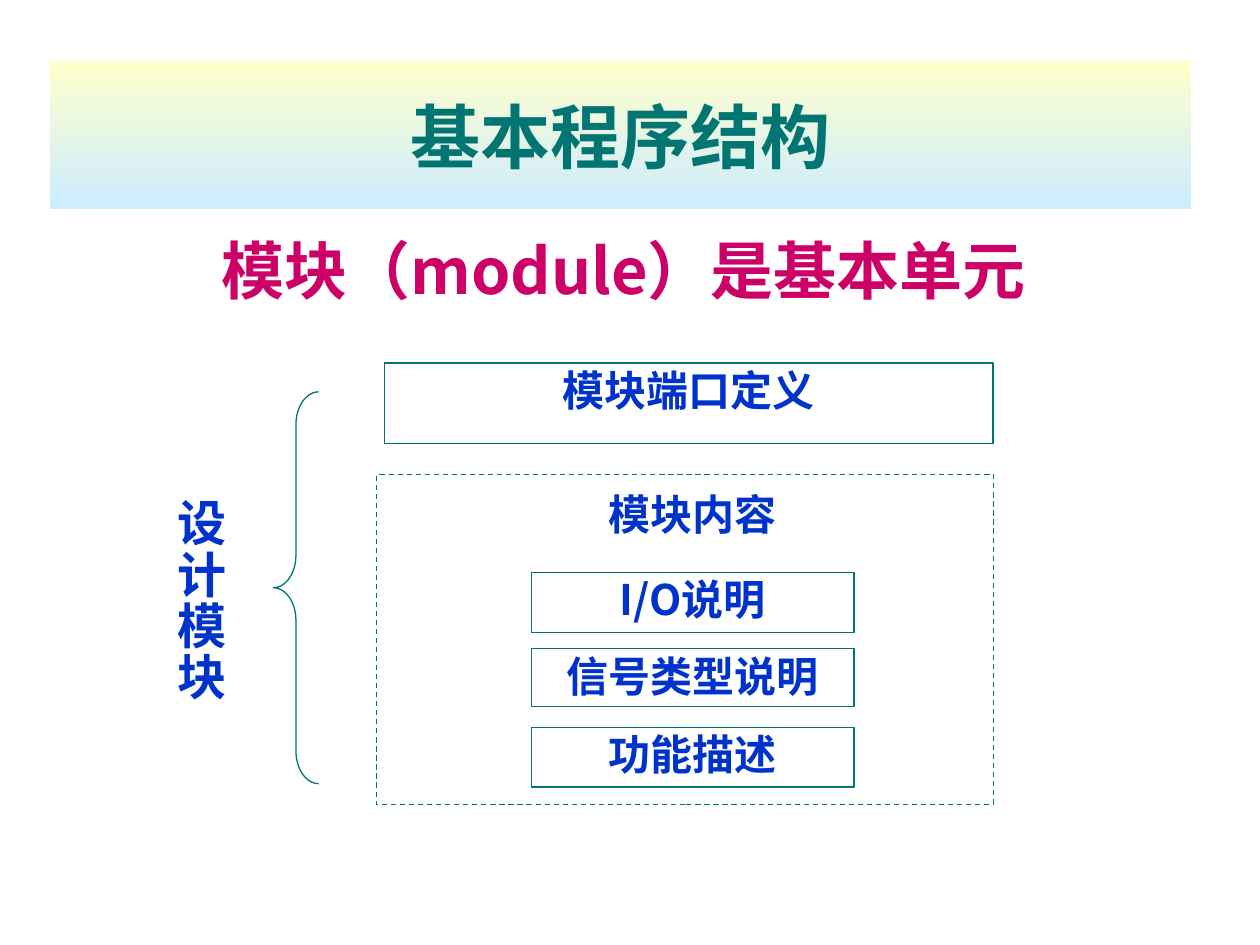
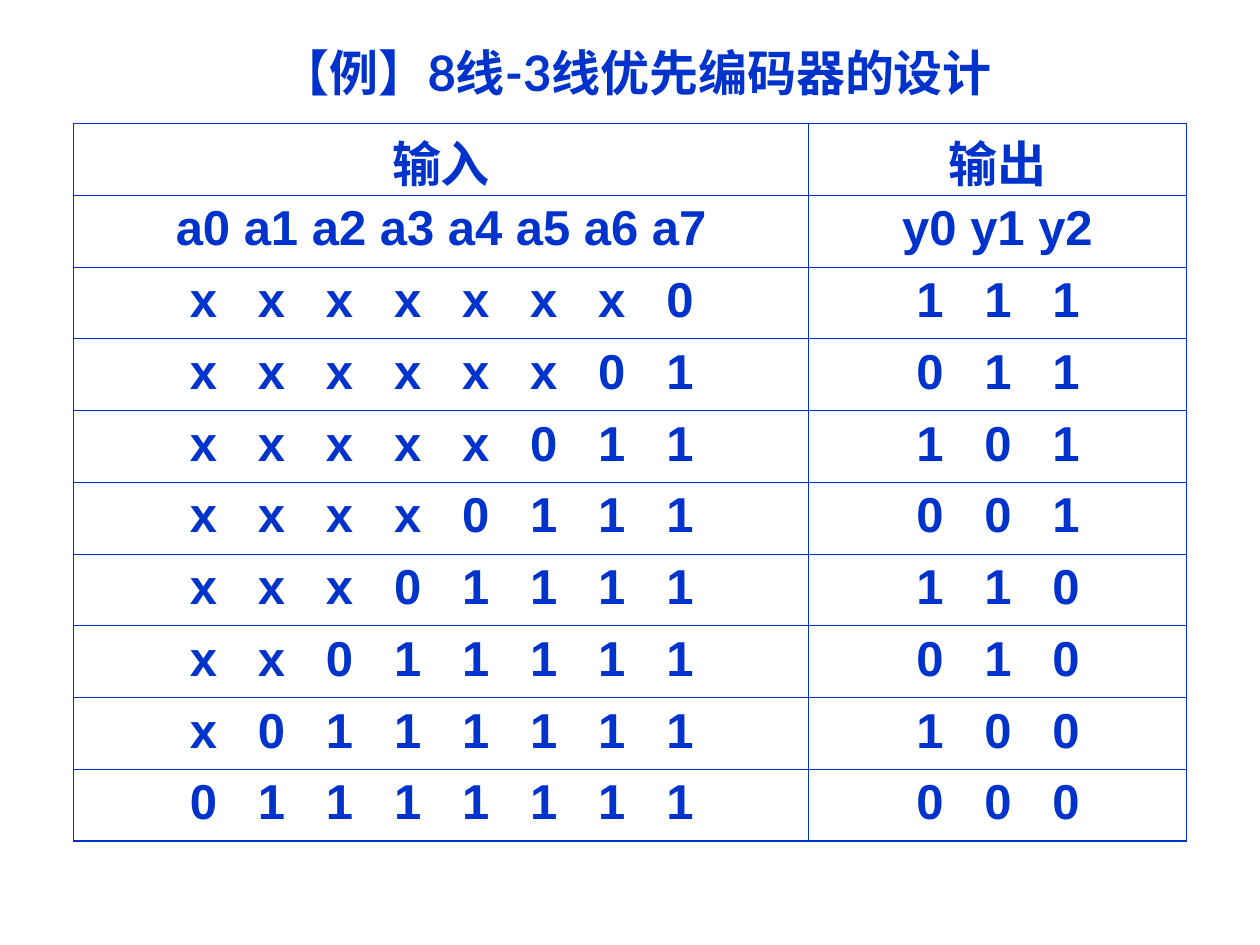
import dataclasses
import typing

import lxml.etree
import pptx
import pptx.dml.color
import pptx.enum.dml
import pptx.enum.shapes
import pptx.enum.text
import pptx.oxml.ns
import pptx.util

Pt = pptx.util.Pt
Shape = pptx.enum.shapes.MSO_SHAPE
Align = pptx.enum.text.PP_ALIGN
Anchor = pptx.enum.text.MSO_ANCHOR

COLOURS = {
    "teal": "007572",
    "blue": "0033CC",
    "magenta": "CC0066",
    "cream": "FFFFCC",
    "sky": "CCECFF",
}
CJK = "Noto Sans CJK SC"
LATIN = "Arial"
LINE_SPACING = 0.92
INPUTS = 8
OUTPUTS = 3
ROW_HEIGHT = 41
COLUMN_WIDTHS = (420, 216)
TAB_PITCH = 38.9


@dataclasses.dataclass(frozen=True)
class Area:
    left: float
    top: float
    width: float
    height: float

    def lengths(self) -> tuple:
        return Pt(self.left), Pt(self.top), Pt(self.width), Pt(self.height)


@dataclasses.dataclass(frozen=True)
class TextStyle:
    size: float
    colour: str = "blue"
    font: str = CJK
    spacing: typing.Optional[float] = LINE_SPACING


@dataclasses.dataclass(frozen=True)
class Block:
    area: Area
    lines: tuple = ()
    style: TextStyle = TextStyle(24)
    outlined: bool = True
    dashed: bool = False
    preset: typing.Any = Shape.RECTANGLE


TABLE_STYLE = TextStyle(28, font=LATIN, spacing=None)
HEADER_STYLE = TextStyle(28, font=LATIN, spacing=0.8)

STRUCTURE = (
    Block(Area(29.5, 133.2, 653.8, 47.5), ("模块（module）是基本单元",),
          TextStyle(36, "magenta"), outlined=False),
    Block(Area(87.8, 282.8, 55.4, 105), tuple("设计模块"),
          TextStyle(28, spacing=0.87), outlined=False),
    Block(Area(156.2, 223.9, 25.9, 223.9), preset=Shape.LEFT_BRACE),
    Block(Area(219.6, 207.4, 347.8, 46), ("模块端口定义",)),
    Block(Area(215.2, 271.2, 352.6, 188.4), dashed=True),
    Block(Area(303.8, 278.6, 184.3, 35.3), ("模块内容",), outlined=False),
    Block(Area(303.8, 327, 184.3, 34.6), ("I/O说明",)),
    Block(Area(303.8, 370.8, 184.3, 33.1), ("信号类型说明",)),
    Block(Area(303.8, 415.8, 184.3, 34), ("功能描述",)),
)


def rgb(name: str) -> pptx.dml.color.RGBColor:
    return pptx.dml.color.RGBColor.from_string(COLOURS[name])


def add_span(para, text: str, style: TextStyle) -> None:
    span = para.add_run()
    span.text = text
    span.font.size = Pt(style.size)
    span.font.bold = True
    span.font.color.rgb = rgb(style.colour)
    span.font.name = style.font
    properties = span.font._element
    east = lxml.etree.SubElement(properties, pptx.oxml.ns.qn("a:ea"))
    east.set("typeface", CJK)


def write_line(para, spans: typing.Sequence, alignment=Align.CENTER) -> None:
    para.alignment = alignment
    if spans[0][1].spacing:
        para.line_spacing = spans[0][1].spacing
    for text, style in spans:
        add_span(para, text, style)


def prepare_frame(frame, anchor=Anchor.TOP) -> None:
    frame.auto_size = pptx.enum.text.MSO_AUTO_SIZE.NONE
    frame.word_wrap = True
    frame.vertical_anchor = anchor
    frame.margin_left = frame.margin_right = Pt(7.2)
    frame.margin_top = frame.margin_bottom = Pt(3.6)


def set_title(page, area: Area, spans: typing.Sequence, anchor=Anchor.TOP):
    title = page.shapes.title
    title.left, title.top, title.width, title.height = area.lengths()
    prepare_frame(title.text_frame, anchor)
    write_line(title.text_frame.paragraphs[0], spans)
    return title


def add_block(page, block: Block) -> None:
    if block.outlined:
        box = page.shapes.add_shape(block.preset, *block.area.lengths())
        box.shadow.inherit = False
        box.fill.background()
        box.line.color.rgb = rgb("teal")
        box.line.width = Pt(0.75)
        if block.dashed:
            box.line.dash_style = pptx.enum.dml.MSO_LINE.DASH
        if block.preset == Shape.LEFT_BRACE:
            box.adjustments[0] = 0.72
    else:
        box = page.shapes.add_textbox(*block.area.lengths())
    frame = box.text_frame
    prepare_frame(frame)
    for index, line in enumerate(block.lines):
        para = frame.add_paragraph() if index else frame.paragraphs[0]
        write_line(para, [(line, block.style)])


def add_tabs(para, first: float, count: int) -> None:
    qn = pptx.oxml.ns.qn
    tabs = lxml.etree.SubElement(para._p.get_or_add_pPr(), qn("a:tabLst"))
    for index in range(count):
        stop = lxml.etree.SubElement(tabs, qn("a:tab"))
        stop.set("pos", str(int(Pt(first + index * TAB_PITCH))))
        stop.set("algn", "ctr")


def set_borders(cell, outer_sides: dict) -> None:
    qn = pptx.oxml.ns.qn
    properties = cell._tc.get_or_add_tcPr()
    for index, (side, outer) in enumerate(outer_sides.items()):
        line = lxml.etree.Element(qn(f"a:ln{side}"))
        line.set("w", str(int(Pt(1.08 if outer else 0.45))))
        fill = lxml.etree.SubElement(line, qn("a:solidFill"))
        lxml.etree.SubElement(fill, qn("a:srgbClr")).set("val", COLOURS["blue"])
        properties.insert(index, line)


def encoder_rows() -> list:
    rows = [
        (["输入"], ["输出"]),
        ([f"a{i}" for i in range(INPUTS)], [f"y{i}" for i in range(OUTPUTS)]),
    ]
    for ones in range(INPUTS):
        code = INPUTS - 1 - ones
        inputs = ["x"] * code + ["0"] + ["1"] * ones
        outputs = [str(code >> bit & 1) for bit in range(OUTPUTS)]
        rows.append((inputs, outputs))
    return rows


def add_truth_table(page) -> None:
    rows = encoder_rows()
    area = Area(42, 70.6, sum(COLUMN_WIDTHS), ROW_HEIGHT * len(rows))
    table = page.shapes.add_table(len(rows), 2, *area.lengths()).table
    table.first_row = table.horz_banding = False
    for column, width in zip(table.columns, COLUMN_WIDTHS):
        column.width = Pt(width)
    first_tabs = (67, 62.2)
    for row, groups in enumerate(rows):
        table.rows[row].height = Pt(ROW_HEIGHT)
        for column, values in enumerate(groups):
            cell = table.cell(row, column)
            cell.fill.background()
            cell.margin_left = cell.margin_right = Pt(7.2)
            cell.margin_top = Pt(3.6 if row else 8)
            cell.margin_bottom = Pt(3.6 if row else 0)
            set_borders(cell, {"L": column == 0, "R": column == 1,
                               "T": row == 0, "B": row == len(rows) - 1})
            para = cell.text_frame.paragraphs[0]
            if row < 2:
                style = TABLE_STYLE if row else HEADER_STYLE
                write_line(para, [(" ".join(values), style)])
            else:
                add_tabs(para, first_tabs[column], len(values))
                text = "".join(f"\t{value}" for value in values)
                write_line(para, [(text, TABLE_STYLE)], Align.LEFT)


def build_structure(page) -> None:
    style = TextStyle(40, "teal", LATIN, None)
    band = set_title(page, Area(28.4, 34.9, 652.2, 84.6),
                     [("基本程序结构", style)], Anchor.MIDDLE)
    band.fill.gradient()
    band.fill.gradient_angle = 270
    for stop, colour in zip(band.fill.gradient_stops, ("cream", "sky")):
        stop.color.rgb = rgb(colour)
    for block in STRUCTURE:
        add_block(page, block)


def build_encoder(page) -> None:
    chinese = TextStyle(28)
    digits = TextStyle(28, font="Lato")
    set_title(page, Area(25.2, 23.8, 676.8, 41), [
        ("【例】", chinese), ("8", digits), ("线", chinese),
        ("-3", digits), ("线优先编码器的设计", chinese),
    ])
    add_truth_table(page)


def main() -> None:
    deck = pptx.Presentation()
    deck.slide_width, deck.slide_height = Pt(720), Pt(540)
    title_only = deck.slide_layouts[5]
    for build in (build_structure, build_encoder):
        build(deck.slides.add_slide(title_only))
    deck.save("out.pptx")


if __name__ == "__main__":
    main()
